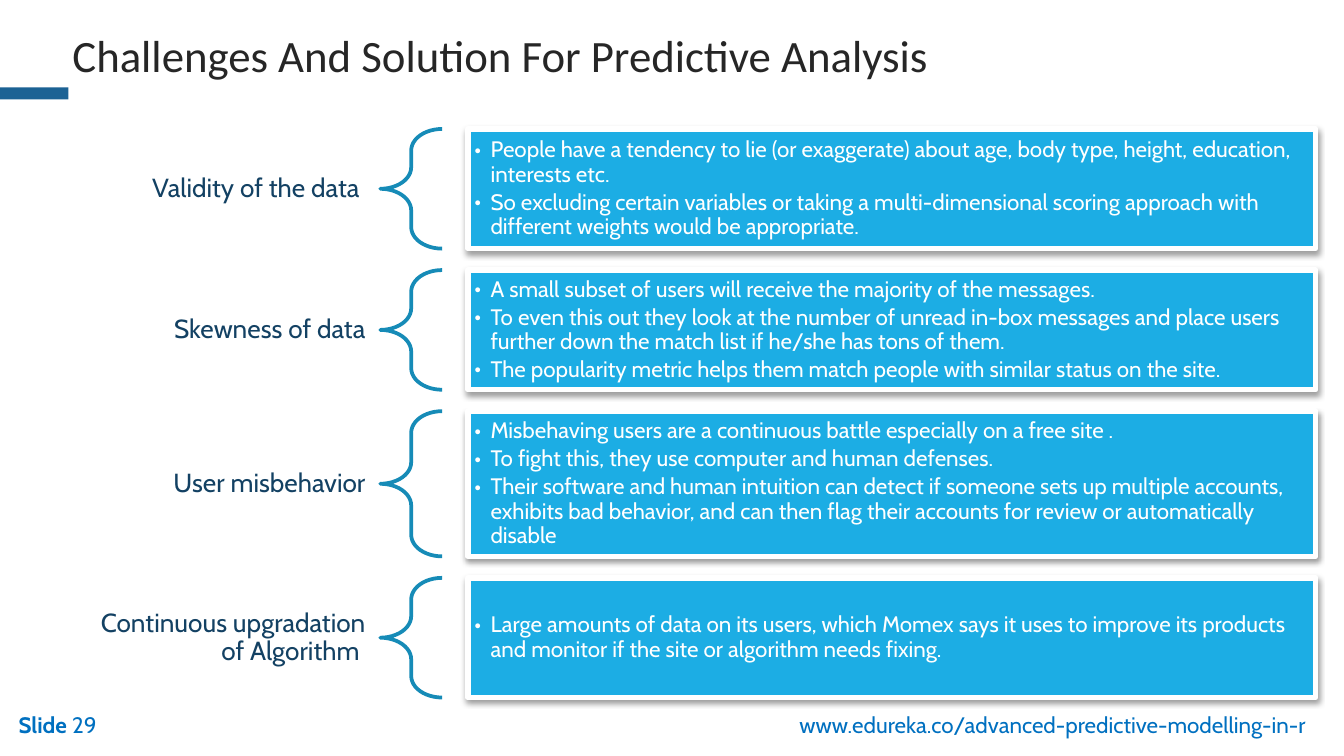
import pptx
import pptx.util
import pptx.dml.color
import pptx.enum.shapes
import pptx.enum.text
import pptx.oxml
import pptx.oxml.ns
from pptx.util import Inches

COLORS = {
    "accent": "1C6294",
    "footer": "0070C0",
    "label": "134163",
    "brace": "168BB7",
    "panel": "1CADE4",
    "white": "FFFFFF",
    "title": "262626",
}
SHAPES = pptx.enum.shapes.MSO_SHAPE
ALIGN = pptx.enum.text.PP_ALIGN
ANCHOR = pptx.enum.text.MSO_ANCHOR
NAMESPACE = pptx.oxml.ns.nsdecls("a")


def color(name):
    return pptx.dml.color.RGBColor.from_string(COLORS[name])


def write(holder, paragraphs, size=12, font="Cabin", ink="footer", align=ALIGN.LEFT,
          anchor=ANCHOR.TOP, margins=(0.1, 0.05), line=1.0, after=0, bullet=False,
          bold_lead=""):
    frame = holder.text_frame
    frame.word_wrap = True
    frame.vertical_anchor = anchor
    frame.margin_left = frame.margin_right = Inches(margins[0])
    frame.margin_top = frame.margin_bottom = Inches(margins[1])
    for index, text in enumerate(paragraphs):
        paragraph = frame.add_paragraph() if index else frame.paragraphs[0]
        if bullet:
            paragraph.level = 1
            properties = paragraph._p.get_or_add_pPr()
            properties.set("marL", str(Inches(0.12)))
            properties.set("indent", str(Inches(-0.12)))
            properties.append(pptx.oxml.parse_xml(
                f'<a:buFont {NAMESPACE} typeface="{font}"/>'))
            properties.append(pptx.oxml.parse_xml(f'<a:buChar {NAMESPACE} char="•"/>'))
        paragraph.alignment = align
        paragraph.line_spacing = line
        paragraph.space_after = pptx.util.Pt(after)
        for part, bold in ((bold_lead, True), (text, False)):
            if part:
                run = paragraph.add_run()
                run.text = part
                run.font.size = pptx.util.Pt(size)
                run.font.name = font
                run.font.bold = bold
                run.font.color.rgb = color(ink)


deck = pptx.Presentation()
deck.slide_width = Inches(10)
deck.slide_height = deck.slide_width * 9 // 16
slide = deck.slides.add_slide(deck.slide_layouts[6])
shapes = slide.shapes

accent = shapes.add_shape(SHAPES.RECTANGLE, 0, Inches(0.65), Inches(0.51), Inches(0.09))
accent.shadow.inherit = False
accent.fill.solid()
accent.fill.fore_color.rgb = color("accent")
accent.line.fill.background()

page = shapes.add_textbox(Inches(0.04), Inches(5.24), Inches(1.58), Inches(0.3))
write(page, ["29"], bold_lead="Slide ")
address = shapes.add_textbox(Inches(5.85), Inches(5.24), Inches(4.08), Inches(0.3))
write(address, ["www.edureka.co/advanced-predictive-modelling-in-r"])

challenges = [
    ("Validity of the data ", 0.89, [
        "People have a tendency to lie (or exaggerate) about age, body type, height, "
        "education, interests etc.",
        "So excluding certain variables or taking a multi-dimensional scoring approach "
        "with different weights would be appropriate.",
    ]),
    ("Skewness of data", 0.89, [
        "A small subset of users will receive the majority of the messages.",
        "To even this out they look at the number of unread in-box messages and place "
        "users further down the match list if he/she has tons of them.",
        "The popularity metric helps them match people with similar status on the site.",
    ]),
    ("User misbehavior", 1.08, [
        "Misbehaving users are a continuous battle especially on a free site .",
        "To fight this, they use computer and human defenses.",
        "Their software and human intuition can detect if someone sets up multiple "
        "accounts, exhibits bad behavior, and can then flag their accounts for review "
        "or automatically disable",
    ]),
    ("Continuous upgradation of Algorithm ", 0.89, [
        "Large amounts of data on its users, which Momex says it uses to improve its "
        "products and monitor if the site or algorithm needs fixing.",
    ]),
]

LABEL_HEIGHT = 0.89
GAP = 0.16
top = 0.96
for challenge, height, solutions in challenges:
    label = shapes.add_textbox(Inches(0.51), Inches(top + (height - LABEL_HEIGHT) / 2),
                               Inches(2.32), Inches(LABEL_HEIGHT))
    write(label, [challenge], size=14, ink="label", align=ALIGN.RIGHT,
          anchor=ANCHOR.MIDDLE, margins=(0.11, 0.04), line=0.9)

    brace = shapes.add_shape(SHAPES.LEFT_BRACE, Inches(2.83), Inches(top),
                             Inches(0.46), Inches(height))
    brace.shadow.inherit = False
    brace.adjustments[0] = 0.35
    brace.fill.background()
    brace.line.color.rgb = color("brace")
    brace.line.width = pptx.util.Pt(2)

    panel = shapes.add_shape(SHAPES.RECTANGLE, Inches(3.48), Inches(top),
                             Inches(6.31), Inches(height))
    panel.shadow.inherit = False
    panel.fill.solid()
    panel.fill.fore_color.rgb = color("panel")
    panel.line.color.rgb = color("white")
    panel.line.width = pptx.util.Pt(3)
    effects = panel._element.spPr.find(pptx.oxml.ns.qn("a:effectLst"))
    effects.append(pptx.oxml.parse_xml(
        f'<a:outerShdw {NAMESPACE} blurRad="{pptx.util.Pt(3.1)}" '
        f'dist="{pptx.util.Pt(1.6)}" dir="5400000" rotWithShape="0">'
        '<a:srgbClr val="000000"><a:alpha val="38000"/></a:srgbClr></a:outerShdw>'))
    write(panel, solutions, ink="white", anchor=ANCHOR.MIDDLE, margins=(0.05, 0.05),
          line=0.9, after=2, bullet=True)
    top += height + GAP

title = shapes.add_textbox(Inches(0.44), Inches(0.16), Inches(7.19), Inches(0.54))
write(title, ["Challenges And Solution For Predictive Analysis"], size=24,
      font="Calibri", ink="title")

deck.save("out.pptx")
